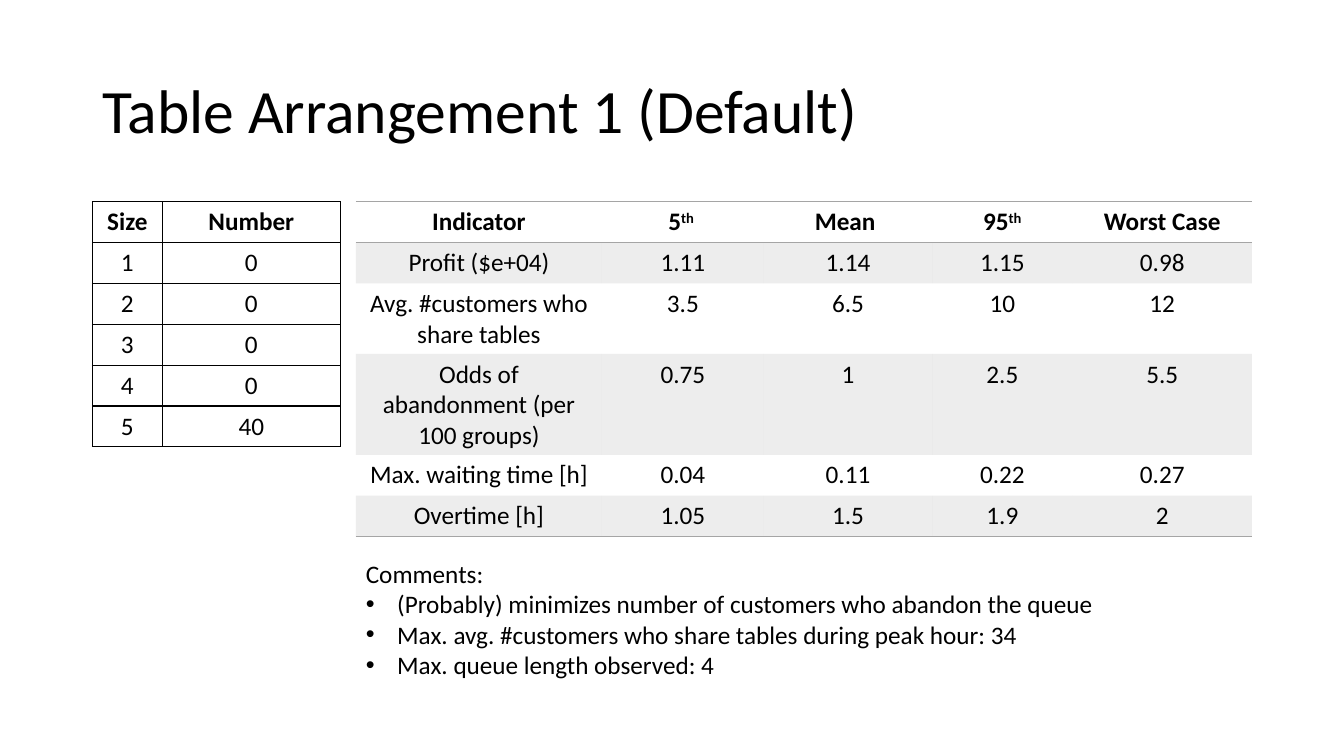
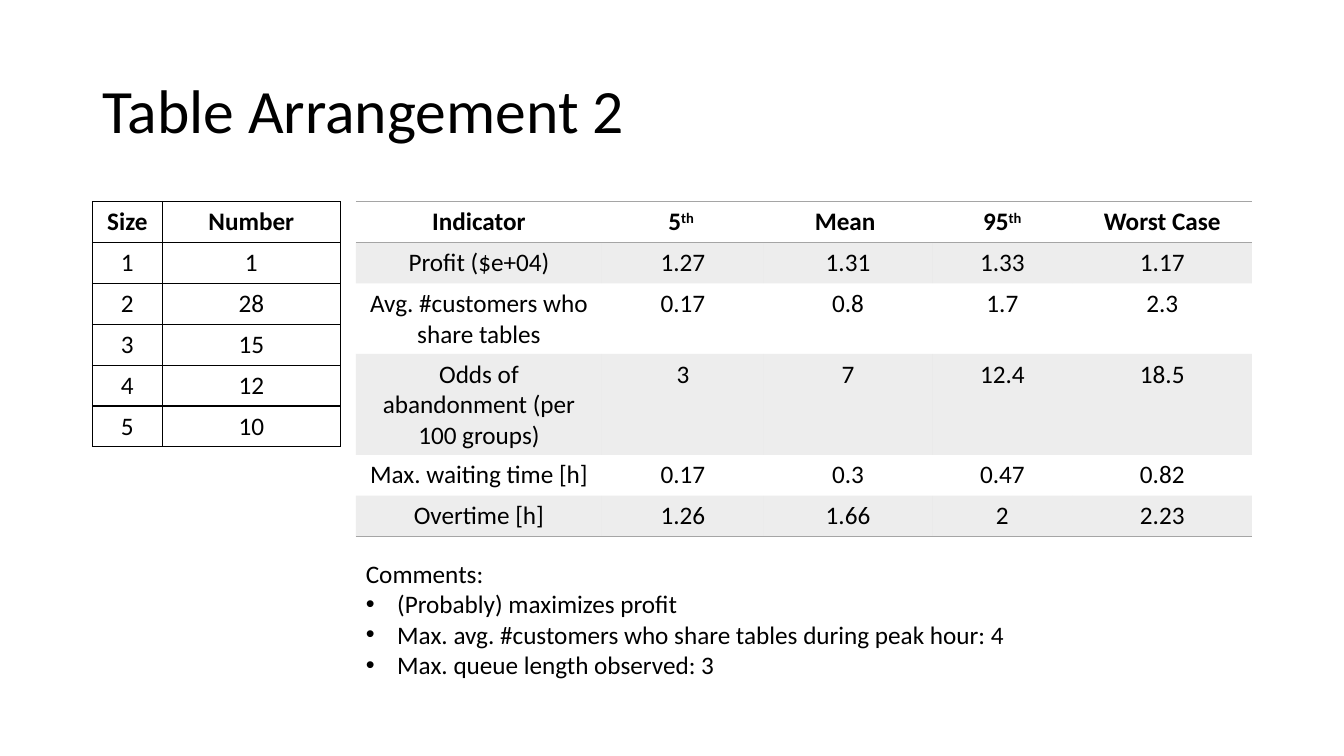
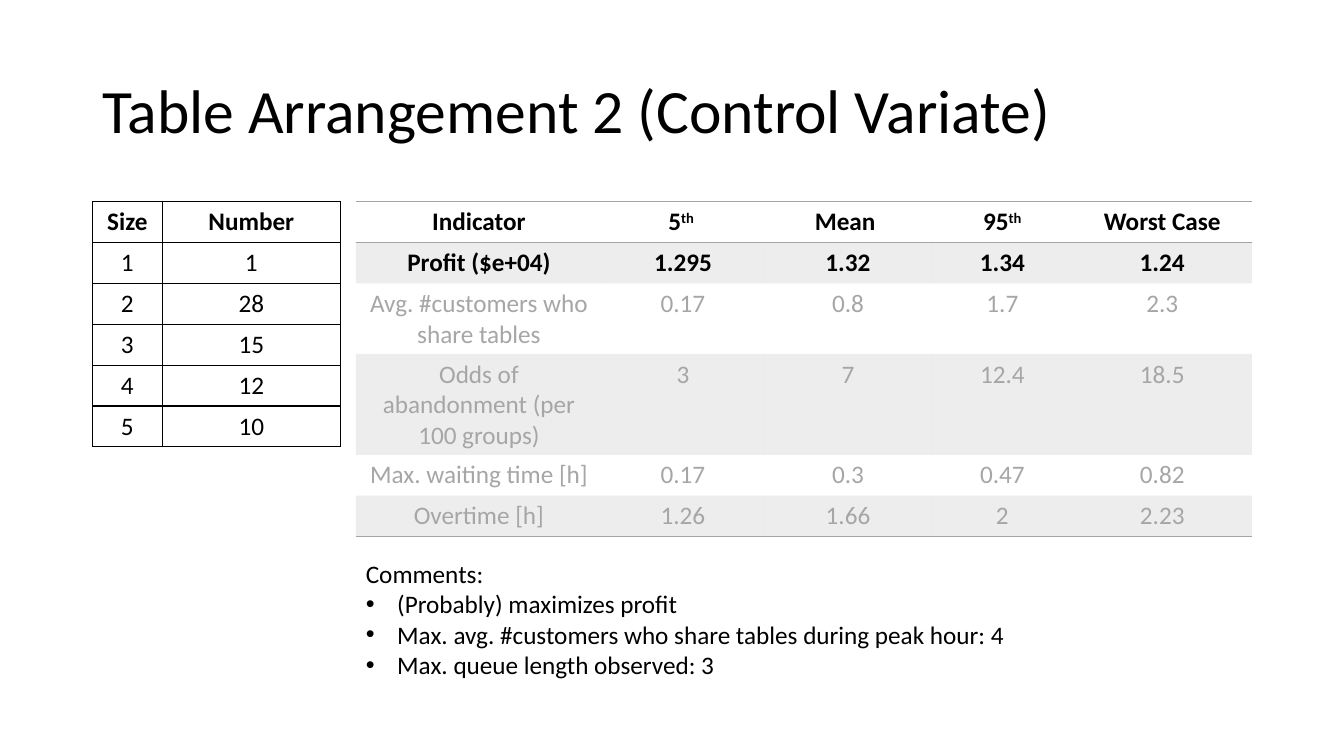
"""Builds three slides that compare table arrangements in a restaurant."""
from lxml import etree
from pptx import Presentation
from pptx.dml.color import RGBColor
from pptx.enum import text
from pptx.oxml import ns
from pptx.util import Cm, Pt

BLACK = RGBColor(0x00, 0x00, 0x00)
GREY = RGBColor(0xA5, 0xA5, 0xA5)
MUTED = RGBColor(0xA6, 0xA6, 0xA6)
FONT = "Calibri"
NO_STYLE = "{2D5ABB26-0587-4C30-8999-92F81FD0307C}"

LEFT, RIGHT_LEFT, TOP = 2.33, 8.97, 5.08
ROW = 1.03
SIZE_COLS = [1.76, 4.49]
INDICATOR_COLS = [6.2, 4.08, 4.24, 3.54, 4.52]
INDICATOR_ROWS = [ROW, ROW, 1.77, 2.54, ROW, ROW]
HEADER = ["Indicator", "5^th ", "Mean ", "95^th", "Worst Case"]
INDICATORS = ["Profit ($e+04)", "Avg. #customers who share tables",
              "Odds of abandonment (per 100 groups)",
              "Max. waiting time [h]", "Overtime [h]"]


class Deck:
    """Holds the shared style and the current slide."""

    def __init__(self):
        """Start a widescreen presentation."""
        self.prs = Presentation()
        self.prs.slide_width, self.prs.slide_height = Cm(33.87), Cm(19.05)
        self.slide = None

    def style(self, p, size=18, color=BLACK, bold=False):
        """Format every run of a paragraph."""
        for r in p.runs:
            r.font.name, r.font.size, r.font.bold = FONT, Pt(size), bold
            r.font.color.rgb = color

    def add_slide(self, title):
        """Add a slide with its title."""
        self.slide = self.prs.slides.add_slide(self.prs.slide_layouts[5])
        sp = self.slide.shapes.title
        sp.left, sp.top, sp.width, sp.height = Cm(LEFT), Cm(1.02), Cm(29.21), Cm(3.68)
        tf = sp.text_frame
        tf.text = title
        tf.auto_size = text.MSO_AUTO_SIZE.NONE
        tf.vertical_anchor = text.MSO_ANCHOR.MIDDLE
        p = tf.paragraphs[0]
        p.alignment, p.line_spacing = text.PP_ALIGN.LEFT, 0.9
        self.style(p, 44)

    def borders(self, cell, sides, color):
        """Draw one-point lines on the given sides of a cell."""
        tcPr = cell._tc.get_or_add_tcPr()
        for side in sides:
            ln = etree.SubElement(tcPr, ns.qn(f"a:ln{side}"), w=str(Pt(1)))
            fill = etree.SubElement(ln, ns.qn("a:solidFill"))
            etree.SubElement(fill, ns.qn("a:srgbClr"), val=str(color))

    def band(self, cell):
        """Fill a cell with translucent grey."""
        cell.fill.solid()
        cell.fill.fore_color.rgb = GREY
        clr = cell._tc.tcPr.find(ns.qn("a:solidFill"))[0]
        etree.SubElement(clr, ns.qn("a:alpha"), val="20000")

    def label(self, cell, content, **look):
        """Put centred text in a cell; what follows a caret is superscript."""
        base, _, raised = content.partition("^")
        p = cell.text_frame.paragraphs[0]
        p.text = base
        p.alignment = text.PP_ALIGN.CENTER
        if raised:
            r = p.add_run()
            r.text = raised
            r.font._element.set("baseline", "30000")
        self.style(p, **look)

    def table(self, left, cols, heights, rows, looks=None, grid=False):
        """Add a table, either with a full grid or with grey bands."""
        frame = self.slide.shapes.add_table(
            len(rows), len(cols), Cm(left), Cm(TOP), Cm(sum(cols)), Cm(sum(heights)))
        tbl = frame.table
        tbl._tbl.tblPr.find(ns.qn("a:tableStyleId")).text = NO_STYLE
        tbl.horz_banding = False
        for col, width in zip(tbl.columns, cols):
            col.width = Cm(width)
        for i, (row, height, values) in enumerate(zip(tbl.rows, heights, rows)):
            row.height = Cm(height)
            look = {"bold": True} if i == 0 else (looks or {}).get(i, {})
            sides = "LRTB" if grid else "TB" if i == 0 else "B" if i == len(rows) - 1 else ""
            for cell, value in zip(row.cells, values):
                self.label(cell, value, **look)
                self.borders(cell, sides, BLACK if grid else GREY)
                if i % 2 and not grid:
                    self.band(cell)
                else:
                    cell.fill.background()

    def comments(self, items):
        """Add the bulleted comments."""
        sp = self.slide.shapes.add_textbox(Cm(RIGHT_LEFT), Cm(13.95), Cm(21.92), Cm(4.11))
        tf = sp.text_frame
        tf.word_wrap = True
        tf.auto_size = text.MSO_AUTO_SIZE.SHAPE_TO_FIT_TEXT
        tf.text = "\n".join(["Comments:", *items])
        for i, p in enumerate(tf.paragraphs):
            self.style(p)
            if i:
                pPr = p._p.get_or_add_pPr()
                pPr.set("marL", str(Cm(0.79)))
                pPr.set("indent", str(-Cm(0.79)))
                etree.SubElement(pPr, ns.qn("a:buFont"), typeface="Arial")
                etree.SubElement(pPr, ns.qn("a:buChar"), char="•")

    def arrangement(self, title, numbers, results, goal, shared, queue, looks=None):
        """Add a slide for one table arrangement."""
        self.add_slide(title)
        sizes = [["Size", "Number"]] + [[str(i), str(n)] for i, n in enumerate(numbers, 1)]
        self.table(LEFT, SIZE_COLS, [ROW] * len(sizes), sizes, grid=True)
        self.comments([f"(Probably) {goal}",
                       f"Max. avg. #customers who share tables during peak hour: {shared}",
                       f"Max. queue length observed: {queue}"])
        rows = [HEADER] + [[name, *line.split()] for name, line in zip(INDICATORS, results)]
        self.table(RIGHT_LEFT, INDICATOR_COLS, INDICATOR_ROWS, rows, looks)


def main():
    """Build and save the slides."""
    deck = Deck()
    deck.arrangement(
        "Table Arrangement 1 (Default)", [0, 0, 0, 0, 40],
        ["1.11 1.14 1.15 0.98", "3.5 6.5 10 12", "0.75 1 2.5 5.5",
         "0.04 0.11 0.22 0.27", "1.05 1.5 1.9 2"],
        "minimizes number of customers who abandon the queue", 34, 4)
    numbers = [1, 28, 15, 12, 10]
    others = ["0.17 0.8 1.7 2.3", "3 7 12.4 18.5", "0.17 0.3 0.47 0.82", "1.26 1.66 2 2.23"]
    focus = {1: {"bold": True}, **{i: {"color": MUTED} for i in range(2, 6)}}
    for suffix, profit, looks in [("", "1.27 1.31 1.33 1.17", None),
                                  (" (Control Variate)", "1.295 1.32 1.34 1.24", focus)]:
        deck.arrangement("Table Arrangement 2" + suffix, numbers, [profit, *others],
                         "maximizes profit", 4, 3, looks)
    deck.prs.save("out.pptx")


if __name__ == "__main__":
    main()
